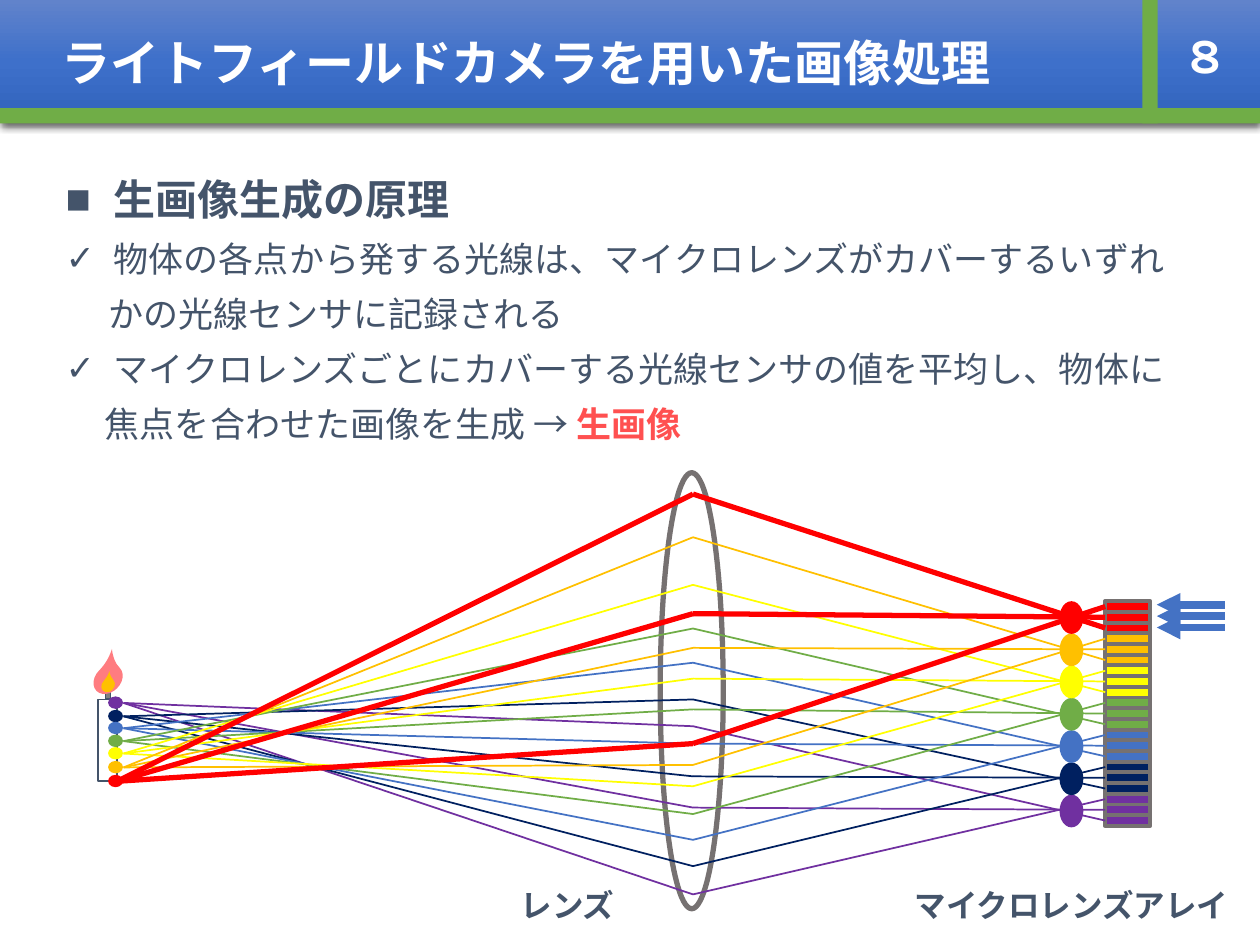
"""Build the slide on how a light field camera forms a raw image."""
from typing import NamedTuple, Optional

from lxml import etree
from pptx import Presentation
from pptx.dml import color
from pptx.enum import shapes, text
from pptx.oxml import ns
from pptx.util import Cm, Pt

COLORS = {
    "white": "FFFFFF", "blue": "4472C4", "green": "70AD47", "slate": "44546A",
    "gray": "767171", "wick": "808080", "flame": "FF7C80", "accent": "FF5050",
    "red": "FF0000", "orange": "FFC000", "yellow": "FFFF00", "navy": "002060",
    "purple": "7030A0", "header_top": "6183CB", "header_middle": "3E70CA",
    "header_bottom": "3062BB", "shadow": "000000",
}
FONT = "Karla"
RAYS_PER_COLOR = 3
LENS_X, SENSOR_X, SENSOR_TOP = 13.97, 22.28, 12.12
MICROLENS_PITCH = 0.65
SENSOR_HEIGHT = 4.53 / 21


class Box(NamedTuple):
    left: float
    top: float
    width: float
    height: float

    def lengths(self) -> list:
        return [Cm(value) for value in self]


class Light(NamedTuple):
    color: str
    source_y: float
    lens_ys: tuple
    source_x: float = 2.49
    weight: float = 1


class Line(NamedTuple):
    runs: tuple
    bullet: str = ""
    margin: float = 0.97
    size: float = 20
    bold: bool = False
    spacing: Optional[float] = None


LIGHTS = [
    Light("red", 15.75, (9.96, 12.37, 14.99), 2.36, 3),
    Light("orange", 15.47, (10.83, 13.06, 15.42)),
    Light("yellow", 15.19, (11.79, 13.68, 15.85)),
    Light("green", 14.94, (12.67, 14.30, 16.41)),
    Light("blue", 14.68, (13.36, 14.99, 16.93)),
    Light("navy", 14.44, (14.10, 15.65, 17.46)),
    Light("purple", 14.17, (14.64, 16.28, 18.03)),
]
PRINCIPLE = [
    Line((("生画像生成の原理", "slate"),), "■", size=24, bold=True, spacing=0.9),
    Line((("物体の各点から発する光線は、マイクロレンズがカバーするいずれ", "slate"),), "✓"),
    Line((("かの光線センサに記録される", "slate"),), margin=0.86),
    Line((("マイクロレンズごとにカバーする光線センサの値を平均し、物体に", "slate"),), "✓"),
    Line((("焦点を合わせた画像を生成 → ", "slate"), ("生画像", "accent")), margin=0.79),
]


def rgb(name: str) -> color.RGBColor:
    return color.RGBColor.from_string(COLORS[name])


def add_xml(parent, tag: str, **attributes):
    return etree.SubElement(parent, ns.qn(tag), attributes)


def write(paragraph, words: str, *, size: float, hue: str = "slate", bold: bool = True,
          align=text.PP_ALIGN.LEFT, spacing: Optional[float] = None, before: float = 0) -> None:
    paragraph.alignment = align
    paragraph.space_before = Pt(before)
    paragraph.line_spacing = spacing
    run = paragraph.add_run()
    run.text = words
    run.font.name, run.font.size, run.font.bold = FONT, Pt(size), bold
    run.font.color.rgb = rgb(hue)


def place(placeholder, box: Box, anchor) -> None:
    placeholder.left, placeholder.top, placeholder.width, placeholder.height = box.lengths()
    placeholder.text_frame.auto_size = text.MSO_AUTO_SIZE.NONE
    placeholder.text_frame.vertical_anchor = anchor


def draw_shape(slide, kind, box: Box, fill: str = "", outline: str = "", weight: float = 1):
    shape = slide.shapes.add_shape(kind, *box.lengths())
    shape.shadow.inherit = False
    if fill:
        shape.fill.solid()
        shape.fill.fore_color.rgb = rgb(fill)
    else:
        shape.fill.background()
    if outline:
        shape.line.color.rgb = rgb(outline)
        shape.line.width = Pt(weight)
    else:
        shape.line.fill.background()
    return shape


def draw_line(slide, start: tuple, end: tuple, hue: str, weight: float, arrow: bool = False) -> None:
    line = slide.shapes.add_connector(
        shapes.MSO_CONNECTOR.STRAIGHT, *[Cm(value) for value in start + end])
    line.line.color.rgb = rgb(hue)
    line.line.width = Pt(weight)
    if arrow:
        add_xml(line.line._get_or_add_ln(), "a:tailEnd", type="triangle")
    add_xml(line._element.spPr, "a:effectLst")


def draw_label(slide, box: Box, words: str, *, anchor=text.MSO_ANCHOR.TOP, **style) -> None:
    frame = slide.shapes.add_textbox(*box.lengths()).text_frame
    frame.word_wrap = True
    frame.vertical_anchor = anchor
    write(frame.paragraphs[0], words, align=text.PP_ALIGN.CENTER, **style)


def draw_header(slide) -> None:
    title = slide.shapes.title
    place(title, Box(0, 0, 25.4, 2.49), text.MSO_ANCHOR.MIDDLE)
    title.text_frame.margin_left = Cm(1.24)
    write(title.text_frame.paragraphs[0], "ライトフィールドカメラを用いた画像処理", size=28, hue="white")

    properties = title._element.spPr
    gradient = add_xml(properties, "a:gradFill", rotWithShape="1")
    stops = add_xml(gradient, "a:gsLst")
    for position, name in ((0, "header_top"), (50, "header_middle"), (100, "header_bottom")):
        stop = add_xml(stops, "a:gs", pos=str(position * 1000))
        add_xml(stop, "a:srgbClr", val=COLORS[name])
    add_xml(gradient, "a:lin", ang="5400000", scaled="0")
    shadow = add_xml(add_xml(properties, "a:effectLst"), "a:outerShdw", blurRad=str(Pt(4.5)),
                     dist=str(Pt(1.5)), dir="5400000", algn="ctr", rotWithShape="0")
    add_xml(add_xml(shadow, "a:srgbClr", val=COLORS["shadow"]), "a:alpha", val="63000")

    for strip in (Box(0, 2.18, 25.4, 0.31), Box(23.03, 0, 0.31, 2.49)):
        draw_shape(slide, shapes.MSO_SHAPE.RECTANGLE, strip, "green")
    draw_label(slide, Box(23.19, 0, 2.21, 2.18), "8", size=28, hue="white",
               anchor=text.MSO_ANCHOR.MIDDLE)


def draw_principle(slide) -> None:
    body = slide.placeholders[1]
    place(body, Box(1.07, 3.48, 23.24, 6.88), text.MSO_ANCHOR.TOP)
    frame = body.text_frame
    for index, line in enumerate(PRINCIPLE):
        paragraph = frame.add_paragraph() if index else frame.paragraphs[0]
        properties = paragraph._p.get_or_add_pPr()
        properties.set("marL", str(Cm(line.margin)))
        properties.set("indent", str(-Cm(line.margin) if line.bullet else 0))
        if line.bullet:
            add_xml(properties, "a:buChar", char=line.bullet)
        else:
            add_xml(properties, "a:buNone")
        for words, hue in line.runs:
            write(paragraph, words, size=line.size, hue=hue, spacing=line.spacing,
                  bold=line.bold or hue == "accent", before=7.5 if index else 0)


def draw_candle(slide) -> None:
    draw_shape(slide, shapes.MSO_SHAPE.RECTANGLE, Box(1.98, 14.1, 0.38, 1.65), "white", "slate")
    draw_shape(slide, shapes.MSO_SHAPE.RECTANGLE, Box(2.13, 13.94, 0.1, 0.15), "wick", "slate")
    for box, hue in ((Box(1.85, 13.44, 0.66, 0.51), "flame"), (Box(2.03, 13.69, 0.3, 0.25), "orange")):
        flame = draw_shape(slide, shapes.MSO_SHAPE.TEAR, box, hue)
        flame.adjustments[0] = 1.48
        flame.rotation = 315


def draw_optics(slide) -> None:
    oval = shapes.MSO_SHAPE.OVAL
    for row in range(len(LIGHTS) * RAYS_PER_COLOR):
        draw_shape(slide, shapes.MSO_SHAPE.RECTANGLE,
                   Box(SENSOR_X, SENSOR_TOP + row * SENSOR_HEIGHT, 0.91, SENSOR_HEIGHT),
                   LIGHTS[row // RAYS_PER_COLOR].color, "gray", 2.25)
    draw_candle(slide)
    draw_shape(slide, oval, Box(13.31, 9.53, 1.27, 8.79), outline="gray", weight=3)
    for index, light in reversed(list(enumerate(LIGHTS))):
        draw_shape(slide, oval, Box(21.36, SENSOR_TOP + index * MICROLENS_PITCH, 0.48, 0.66), light.color)
        draw_shape(slide, oval, Box(2.18, light.source_y - 0.13, 0.3, 0.25), light.color)
    for index, light in reversed(list(enumerate(LIGHTS))):
        last_row = (index + 1) * RAYS_PER_COLOR - 1
        for ray, lens_y in enumerate(light.lens_ys):
            sensor_y = SENSOR_TOP + (last_row - ray + 0.5) * SENSOR_HEIGHT
            for end in ((light.source_x, light.source_y), (SENSOR_X, sensor_y)):
                draw_line(slide, (LENS_X, lens_y), end, light.color, light.weight)
    for index in range(RAYS_PER_COLOR):
        arrow_y = 12.19 + index * 0.23
        draw_line(slide, (24.69, arrow_y), (23.32, arrow_y), "blue", 4.5, arrow=True)
    for left, words in ((7.39, "レンズ"), (17.55, "マイクロレンズアレイ")):
        draw_label(slide, Box(left, 17.82, 8.1, 1.24), words, size=18, spacing=0.9)


def main() -> None:
    deck = Presentation()
    deck.slide_width, deck.slide_height = Cm(25.4), Cm(19.05)
    slide = deck.slides.add_slide(deck.slide_layouts[1])
    draw_header(slide)
    draw_principle(slide)
    draw_optics(slide)
    deck.save("out.pptx")


if __name__ == "__main__":
    main()
